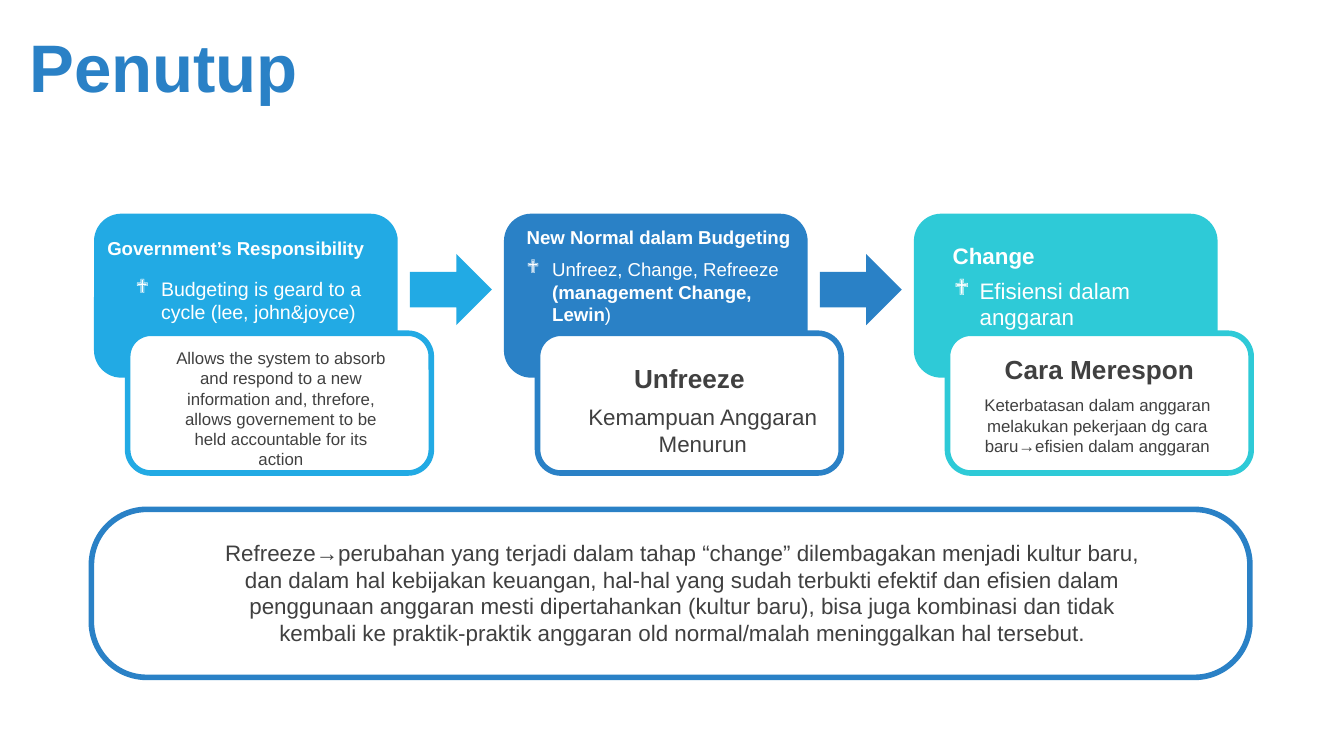
from dataclasses import dataclass
from pptx import Presentation
from pptx.dml.color import RGBColor
from pptx.enum.shapes import MSO_SHAPE as Kind
from pptx.enum.text import MSO_ANCHOR as Anchor, PP_ALIGN as Align
from pptx.oxml import parse_xml
from pptx.oxml.ns import nsdecls
from pptx.util import Inches, Pt


@dataclass(frozen=True)
class Theme:
    font: str = "Arial"
    sign: str = "Wingdings"
    sky: str = "22AAE4"
    blue: str = "2A81C6"
    teal: str = "2ECAD7"
    white: str = "FFFFFF"
    dark: str = "404040"
    title: float = 36
    head: float = 14
    body: float = 12
    point: float = 10.5
    label: float = 10
    note: float = 9
    edge: float = 3


def write(box, text, size, color, theme, bold=False, align=Align.LEFT,
          bullet=None, anchor=Anchor.TOP):
    """Fill a box with text, given as a string or as (text, bold) pairs."""
    frame = box.text_frame
    frame.word_wrap = True
    frame.vertical_anchor = anchor
    para = frame.paragraphs[0]
    para.alignment = align
    for part, heavy in [(text, bold)] if isinstance(text, str) else text:
        run = para.add_run()
        run.text = part
        run.font.name, run.font.size, run.font.bold = theme.font, Pt(size), heavy
        run.font.color.rgb = RGBColor.from_string(color)
    if bullet:
        props = para._p.get_or_add_pPr()
        props.set("marL", str(Inches(0.19)))
        props.set("indent", str(Inches(-0.19)))
        for tag in (f'buFont {nsdecls("a")} typeface="{theme.sign}"',
                    f'buChar {nsdecls("a")} char="{bullet}"'):
            props.append(parse_xml(f"<a:{tag}/>"))


class Deck:
    def __init__(self, theme):
        self.theme = theme
        self.show = Presentation()
        self.show.slide_width = Inches(10)
        self.show.slide_height = Inches(10 * 9 / 16)
        self.slide = self.show.slides.add_slide(self.show.slide_layouts[6])

    def shape(self, kind, at, fill, line=None, round=None):
        item = self.slide.shapes.add_shape(kind, *map(Inches, at))
        item.shadow.inherit = False
        item.fill.solid()
        item.fill.fore_color.rgb = RGBColor.from_string(fill)
        if line:
            item.line.color.rgb = RGBColor.from_string(line)
            item.line.width = Pt(self.theme.edge)
        else:
            item.line.fill.background()
        if round:
            item.adjustments[0] = round

    def text(self, at, text, size, color, **form):
        box = self.slide.shapes.add_textbox(*map(Inches, at))
        write(box, text, size, color, self.theme, **form)

    def card(self, left, color):
        """Draw a filled card with a white outlined one over its corner."""
        self.shape(Kind.ROUNDED_RECTANGLE, (left, 1.59, 2.26, 1.22), color)
        self.shape(Kind.ROUNDED_RECTANGLE, (left + 0.25, 2.48, 2.26, 1.04),
                   self.theme.white, color)

    def arrow(self, left, color):
        self.shape(Kind.RIGHT_ARROW, (left, 1.89, 0.61, 0.53), color)


def main():
    t = Theme()
    deck = Deck(t)
    deck.text((0.12, 0, 9.88, 0.97), "Penutup", t.title, t.blue,
              bold=True, anchor=Anchor.MIDDLE)

    start, step = 0.7, 3.05
    colors = (t.sky, t.blue, t.teal)
    for i, color in enumerate(colors):
        deck.card(start + i * step, color)
    for i, color in enumerate(colors[:2]):
        deck.arrow(step + i * step, color)

    heads = [
        ((0.7, 1.71, 2.3, 0.27), "Government’s Responsibility", t.label),
        ((3.82, 1.63, 2.35, 0.27), "New Normal dalam Budgeting", t.label),
        ((6.99, 1.75, 1.91, 0.3), "Change", t.body),
    ]
    for at, text, size in heads:
        deck.text(at, text, size, t.white, bold=True)

    points = [
        ((0.91, 2.01, 1.91, 0.45),
         "Budgeting is geard to a cycle (lee, john&joyce)", t.point),
        ((3.82, 1.87, 2.18, 0.61),
         [("Unfreez, Change, Refreeze ", False),
          ("(management Change, Lewin", True), (")", False)], t.label),
        ((7, 2.01, 1.91, 0.5), "Efisiensi dalam anggaran", t.body),
    ]
    for at, text, size in points:
        deck.text(at, text, size, t.white, bullet="❖")

    notes = [
        ((1.17, 2.54, 1.84, 0.43),
         "Allows the system to absorb and respond to a new information and, "
         "threfore, allows governement to be held accountable for its action",
         t.note, False),
        ((4.21, 2.95, 2.04, 0.43), "Kemampuan Anggaran Menurun",
         t.body, False),
        ((4.21, 2.65, 1.84, 0.28), "Unfreeze", t.head, True),
        ((7.13, 2.89, 2.07, 0.47),
         "Keterbatasan dalam anggaran melakukan pekerjaan dg cara "
         "baru→efisien dalam anggaran", t.note, False),
        ((7.26, 2.58, 1.84, 0.33), "Cara Merespon", t.head, True),
    ]
    for at, text, size, bold in notes:
        deck.text(at, text, size, t.dark, bold=bold, align=Align.CENTER)

    deck.shape(Kind.ROUNDED_RECTANGLE, (0.68, 3.79, 8.62, 1.25),
               t.white, t.blue, round=0.33)
    deck.text(
        (1.46, 3.96, 7.24, 0.91),
        "Refreeze→perubahan yang terjadi dalam tahap “change” dilembagakan "
        "menjadi kultur baru, dan dalam hal kebijakan keuangan, hal-hal yang "
        "sudah terbukti efektif dan efisien dalam penggunaan anggaran mesti "
        "dipertahankan (kultur baru), bisa juga kombinasi dan tidak kembali "
        "ke praktik-praktik anggaran old normal/malah meninggalkan hal "
        "tersebut.", t.body, t.dark, align=Align.CENTER)
    deck.show.save("out.pptx")


if __name__ == "__main__":
    main()
